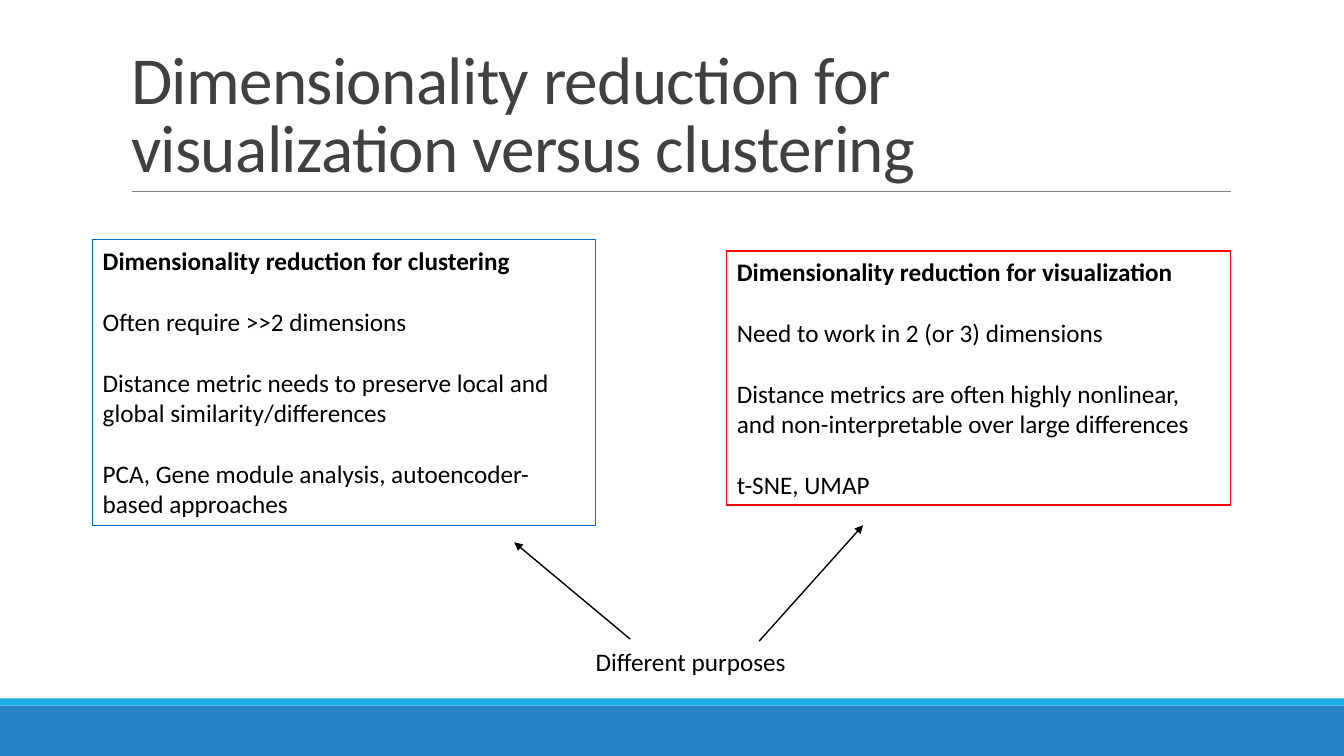
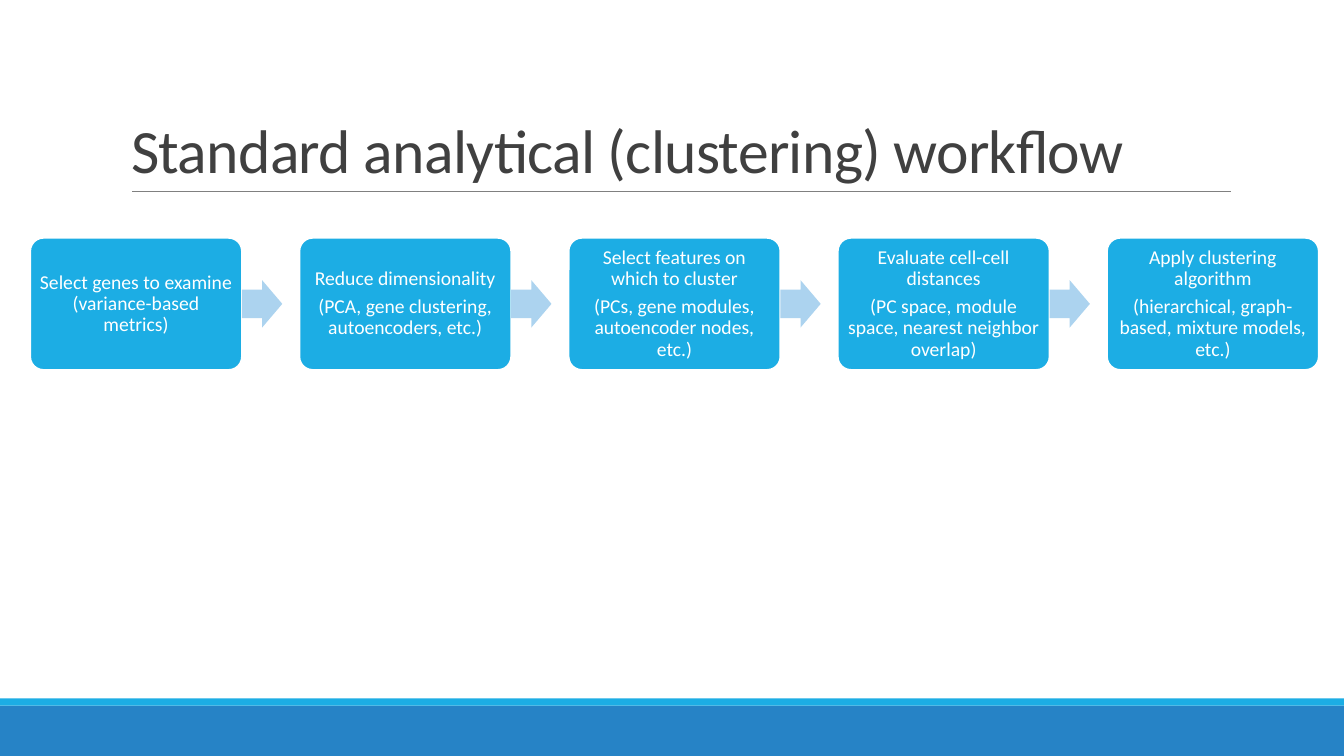
from dataclasses import dataclass

from lxml import etree
from pptx import Presentation
from pptx.dml.color import RGBColor
from pptx.enum.shapes import MSO_CONNECTOR, MSO_SHAPE
from pptx.enum.text import MSO_ANCHOR, MSO_AUTO_SIZE, PP_ALIGN
from pptx.oxml.ns import qn
from pptx.shapes.autoshape import Shape
from pptx.shapes.connector import Connector
from pptx.slide import Slide
from pptx.util import Inches, Pt

RECT = MSO_SHAPE.RECTANGLE
ROUNDED = MSO_SHAPE.ROUNDED_RECTANGLE
RIGHT_ARROW = MSO_SHAPE.RIGHT_ARROW
STRAIGHT = MSO_CONNECTOR.STRAIGHT
LEFT, CENTER = PP_ALIGN.LEFT, PP_ALIGN.CENTER
MIDDLE, BOTTOM = MSO_ANCHOR.MIDDLE, MSO_ANCHOR.BOTTOM
FIT_SHAPE, NO_FIT = MSO_AUTO_SIZE.SHAPE_TO_FIT_TEXT, MSO_AUTO_SIZE.NONE


@dataclass(frozen=True)
class Theme:
    font: str = "Calibri"
    title: str = "404040"
    rule: str = "808080"
    band: str = "2683C6"
    accent: str = "1CADE4"
    arrow: str = "ACD3EF"
    blue: str = "0070C0"
    red: str = "FF0000"
    black: str = "000000"
    white: str = "FFFFFF"
    title_size: int = 48
    long_title_size: int = 44
    body_size: int = 18
    step_size: int = 14
    body_gap: int = 22
    step_gap: int = 5


@dataclass(frozen=True)
class Panel:
    left: float
    top: float
    height: float
    color: str
    lines: tuple[str, ...]


@dataclass(frozen=True)
class Arrow:
    start: tuple[float, float]
    end: tuple[float, float]


THEME = Theme()
SLIDE_W, SLIDE_H = 13.33, 7.5

PANEL_W = 4.99
PANELS = (
    Panel(0.92, 2.38, 2.83, THEME.blue, (
        "Dimensionality reduction for clustering",
        "Often require >>2 dimensions",
        "Distance metric needs to preserve local and global similarity/differences",
        "PCA, Gene module analysis, autoencoder-based approaches",
    )),
    Panel(7.21, 2.49, 2.52, THEME.red, (
        "Dimensionality reduction for visualization",
        "Need to work in 2 (or 3) dimensions",
        "Distance metrics are often highly nonlinear, and non-interpretable over large differences",
        "t-SNE, UMAP",
    )),
)
ARROWS = (
    Arrow((6.25, 6.34), (5.1, 5.38)),
    Arrow((7.53, 6.36), (8.56, 5.21)),
)

STEP_LEFT, STEP_TOP, STEP_W, STEP_H, STEP_PITCH = 0.3, 2.36, 2.1, 1.31, 2.67
ARROW_W, ARROW_H = 0.4, 0.47
STEPS = (
    ("Select genes to examine (variance-based metrics)",),
    ("Reduce dimensionality", "(PCA, gene clustering, autoencoders, etc.)"),
    ("Select features on which to cluster",
     "(PCs, gene modules, autoencoder nodes, etc.)"),
    ("Evaluate cell-cell distances",
     "(PC space, module space, nearest neighbor overlap)"),
    ("Apply clustering algorithm",
     "(hierarchical, graph-based, mixture models, etc.)"),
)


def rgb(color: str) -> RGBColor:
    return RGBColor.from_string(color)


def write(sp: Shape, lines: tuple[str, ...], size: int, color: str,
          align: PP_ALIGN = LEFT, gap: int = 0, spacing: float = 1.0,
          bold_first: bool = False) -> None:
    """Fill a shape with one paragraph per line."""
    tf = sp.text_frame
    tf.word_wrap = True
    for i, line in enumerate(lines):
        p = tf.add_paragraph() if i else tf.paragraphs[0]
        p.text = line
        p.alignment = align
        p.line_spacing = spacing
        if i:
            p.space_before = Pt(gap)
        p.font.name = THEME.font
        p.font.size = Pt(size)
        p.font.bold = bold_first and i == 0
        p.font.color.rgb = rgb(color)


def add_box(slide: Slide, kind: MSO_SHAPE, left: float, top: float,
            width: float, height: float, fill: str) -> Shape:
    sp = slide.shapes.add_shape(kind, Inches(left), Inches(top),
                                Inches(width), Inches(height))
    sp.shadow.inherit = False
    sp.fill.solid()
    sp.fill.fore_color.rgb = rgb(fill)
    sp.line.fill.background()
    return sp


def add_text(slide: Slide, left: float, top: float,
             width: float, height: float) -> Shape:
    sp = slide.shapes.add_textbox(Inches(left), Inches(top),
                                  Inches(width), Inches(height))
    sp.text_frame.auto_size = FIT_SHAPE
    return sp


def add_line(slide: Slide, start: tuple[float, float], end: tuple[float, float],
             color: str, weight: float) -> Connector:
    line = slide.shapes.add_connector(STRAIGHT, *map(Inches, start + end))
    line.line.color.rgb = rgb(color)
    line.line.width = Pt(weight)
    etree.SubElement(line._element.spPr, qn("a:effectLst"))
    return line


def add_arrow(slide: Slide, arrow: Arrow) -> None:
    line = add_line(slide, arrow.start, arrow.end, THEME.black, 1)
    etree.SubElement(line.line._get_or_add_ln(), qn("a:tailEnd"), type="triangle")


def add_slide(prs: Presentation, title: str, size: int) -> Slide:
    """Add a slide with the shared bands, rule and title style."""
    slide = prs.slides.add_slide(prs.slide_layouts[5])
    add_box(slide, RECT, 0, 7, SLIDE_W, 0.5, THEME.band)
    add_box(slide, RECT, 0, 6.93, SLIDE_W, 0.07, THEME.accent)
    add_line(slide, (1.31, 1.9), (12.21, 1.9), THEME.rule, 0.5)
    sp = slide.shapes.title
    sp.left, sp.top, sp.width, sp.height = map(Inches, (1.2, 0.31, 11, 1.59))
    write(sp, (title,), size, THEME.title, spacing=0.85)
    tf = sp.text_frame
    tf.auto_size = NO_FIT
    tf.vertical_anchor = BOTTOM
    tf.paragraphs[0].runs[0]._r.get_or_add_rPr().set("spc", "-50")
    return slide


def add_panel(slide: Slide, panel: Panel) -> None:
    sp = add_text(slide, panel.left, panel.top, PANEL_W, panel.height)
    sp.line.color.rgb = rgb(panel.color)
    sp.line.width = Pt(0.75)
    write(sp, panel.lines, THEME.body_size, THEME.black,
          gap=THEME.body_gap, bold_first=True)


def add_step(slide: Slide, left: float, lines: tuple[str, ...]) -> None:
    sp = add_box(slide, ROUNDED, left, STEP_TOP, STEP_W, STEP_H, THEME.accent)
    sp.adjustments[0] = 0.1
    sp.line.color.rgb = rgb(THEME.white)
    sp.line.width = Pt(1.25)
    tf = sp.text_frame
    tf.margin_left = tf.margin_right = Inches(0.05)
    tf.margin_top = tf.margin_bottom = Inches(0.05)
    tf.vertical_anchor = MIDDLE
    write(sp, lines, THEME.step_size, THEME.white, CENTER, THEME.step_gap, 0.9)


def add_step_arrow(slide: Slide, left: float) -> None:
    top = STEP_TOP + (STEP_H - ARROW_H) / 2
    sp = add_box(slide, RIGHT_ARROW, left, top, ARROW_W, ARROW_H, THEME.arrow)
    sp.adjustments[0] = 0.6
    sp.adjustments[1] = 0.5


def build_comparison(prs: Presentation) -> None:
    slide = add_slide(
        prs, "Dimensionality reduction for visualization versus clustering",
        THEME.title_size)
    for panel in PANELS:
        add_panel(slide, panel)
    label = add_text(slide, 5.81, 6.36, 2.36, 0.4)
    write(label, ("Different purposes",), THEME.body_size, THEME.black)
    for arrow in ARROWS:
        add_arrow(slide, arrow)


def build_workflow(prs: Presentation) -> None:
    slide = add_slide(prs, "Standard analytical (clustering) workflow",
                      THEME.long_title_size)
    for i, lines in enumerate(STEPS):
        left = STEP_LEFT + i * STEP_PITCH
        add_step(slide, left, lines)
        if i < len(STEPS) - 1:
            add_step_arrow(slide, left + STEP_W)


def main() -> None:
    prs = Presentation()
    prs.slide_width, prs.slide_height = Inches(SLIDE_W), Inches(SLIDE_H)
    build_comparison(prs)
    build_workflow(prs)
    prs.save("out.pptx")


if __name__ == "__main__":
    main()
